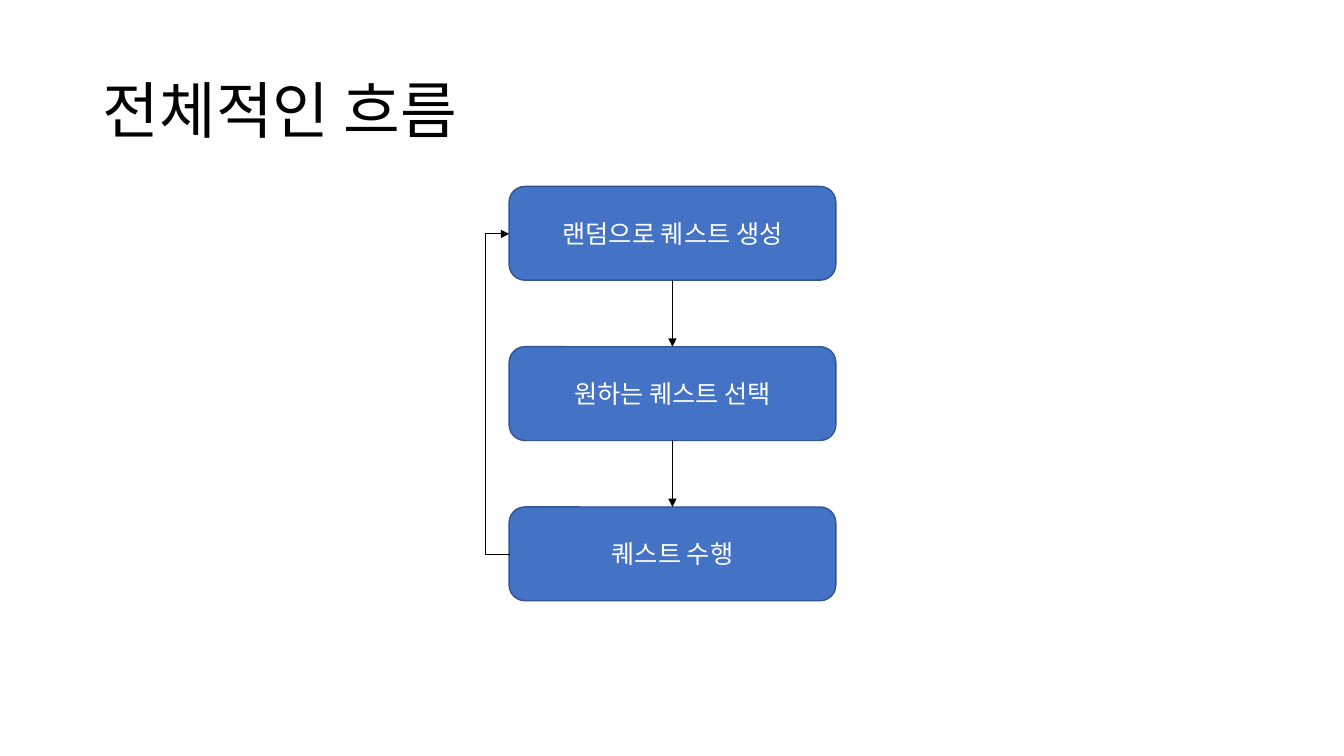
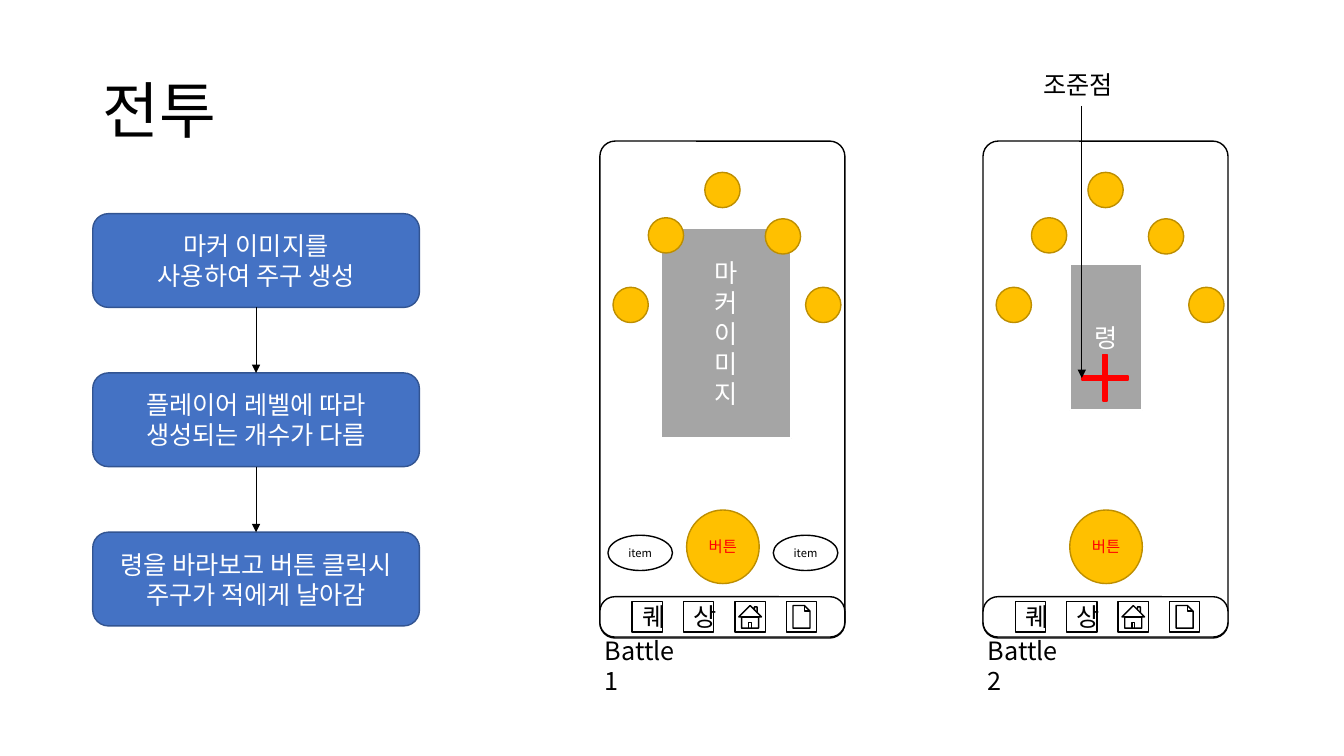
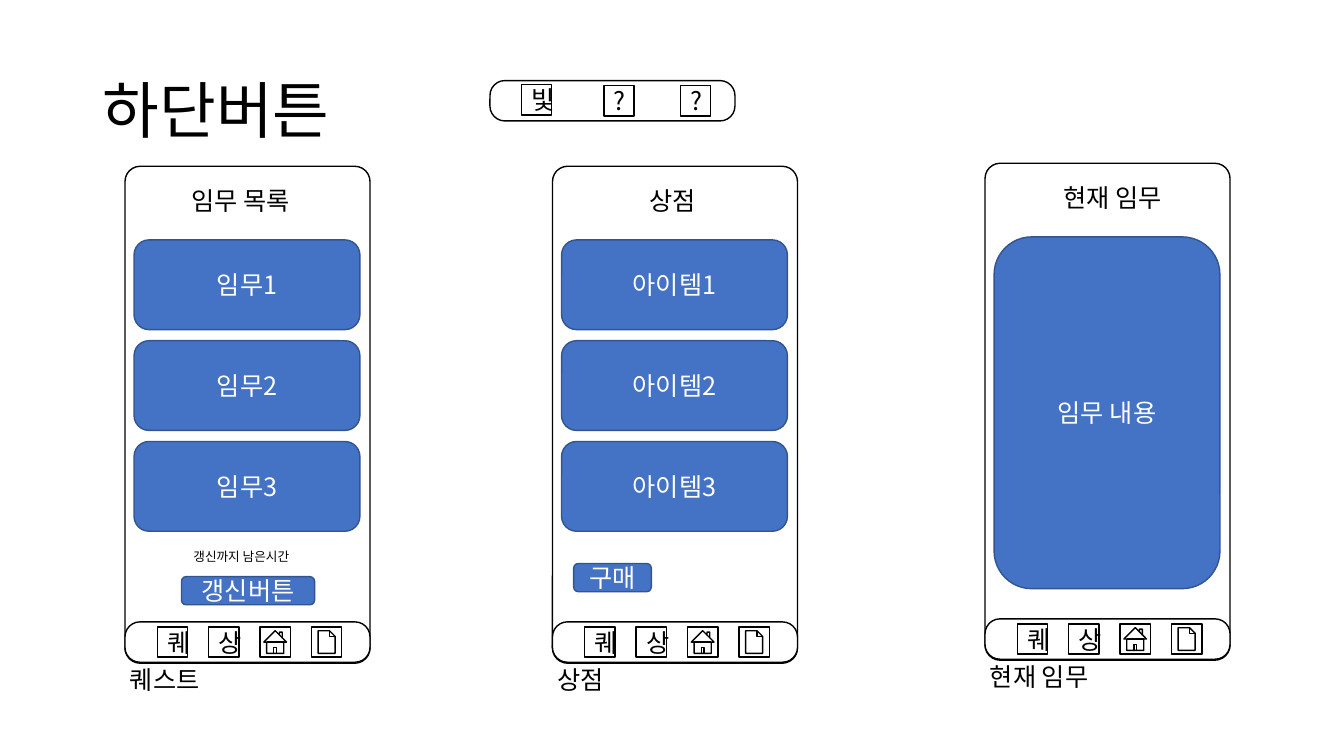
from lxml.etree import SubElement
from pptx import Presentation
from pptx.dml.color import RGBColor
from pptx.enum.shapes import MSO_CONNECTOR as CONNECTOR, MSO_SHAPE as SHAPE
from pptx.enum.text import MSO_ANCHOR as ANCHOR, MSO_AUTO_SIZE as AUTO_SIZE, PP_ALIGN as ALIGN
from pptx.oxml.ns import qn
from pptx.util import Emu, Pt

EMU_PER_PX = 9144  # 100 px to the inch
FONT = "Noto Sans CJK KR"
COLORS = {
    "black": "000000", "white": "FFFFFF", "blue": "4472C4", "navy": "325491",
    "gold": "FFC000", "bronze": "BD8E00", "gray": "A5A5A5", "red": "FF0000",
}
# fill, line, line width, text colour
STYLES = {
    "card": ("blue", "navy", 1, "white"),
    "plain": ("white", "black", 1, "black"),
    "icon": (None, "black", 1, "black"),
    "orb": ("gold", "bronze", 1, "red"),
    "marker": ("gray", "white", 1.5, "white"),
    "aim": ("red", "red", 1, "white"),
}
PHONE_WIDTH, PHONE_HEIGHT = 243, 493
BAR_HEIGHT, BAR_OFFSET = 40, 452
ICON, ICON_STEP = 30, 51
ORB = 35
ORB_OFFSETS = [(13, 145), (48, 76), (104, 31), (164, 77), (204, 145)]


def px(*lengths):
    return [Emu(length * EMU_PER_PX) for length in lengths]


def rgb(name):
    return RGBColor.from_string(COLORS[name])


# Shared building parts
def write_text(frame, text, size, color, align):
    frame.text = text
    for paragraph in frame.paragraphs:
        paragraph.alignment = align
        for run in paragraph.runs:
            for name, value in {"name": FONT, "size": Pt(size)}.items():
                setattr(run.font, name, value)
            run.font.color.rgb = rgb(color)
            SubElement(run._r.get_or_add_rPr(), qn("a:ea"), typeface=FONT)


def add_block(canvas, kind, box, style, text="", size=18, corner=None):
    fill, line, width, color = STYLES[style]
    shape = canvas.add_shape(kind, *px(*box))
    shape.shadow.inherit = False
    if fill:
        shape.fill.solid()
        shape.fill.fore_color.rgb = rgb(fill)
    else:
        shape.fill.background()
    shape.line.color.rgb = rgb(line)
    shape.line.width = Pt(width)
    if corner is not None:
        shape.adjustments[0] = corner
    if text:
        write_text(shape.text_frame, text, size, color, ALIGN.CENTER)


def add_label(canvas, box, text, size=18):
    frame = canvas.add_textbox(*px(*box)).text_frame
    frame.word_wrap = True
    write_text(frame, text, size, "black", ALIGN.LEFT)


def add_arrow(canvas, start, end, bend=None):
    kind = CONNECTOR.STRAIGHT if bend is None else CONNECTOR.ELBOW
    arrow = canvas.add_connector(kind, *px(*start, *end))
    arrow.line.color.rgb = rgb("black")
    arrow.line.width = Pt(0.5)
    properties = arrow._element.spPr
    SubElement(properties.find(qn("a:ln")), qn("a:tailEnd"), type="triangle")
    SubElement(properties, qn("a:effectLst"))
    if bend is not None:
        guides = properties.find(qn("a:prstGeom")).get_or_add_avLst()
        SubElement(guides, qn("a:gd"), name="adj1", fmla=f"val {bend * 100000}")


def add_titled_slide(presentation, text):
    slide = presentation.slides.add_slide(presentation.slide_layouts[5])
    title = slide.shapes.title
    title.left, title.top, title.width, title.height = px(92, 40, 1150, 145)
    frame = title.text_frame
    write_text(frame, text, 44, "black", ALIGN.LEFT)
    formats = {"vertical_anchor": ANCHOR.MIDDLE, "word_wrap": True, "auto_size": AUTO_SIZE.NONE}
    for name, value in formats.items():
        setattr(frame, name, value)
    frame.paragraphs[0].line_spacing = 0.9
    return slide


# Regions
def add_flow(slide, left, top, step, texts, loops=False):
    canvas = slide.shapes.add_group_shape().shapes
    width, height = 324, 93
    center = left + width // 2
    tops = [top + index * step for index in range(len(texts))]
    for box_top, text in zip(tops, texts):
        add_block(canvas, SHAPE.ROUNDED_RECTANGLE, (left, box_top, width, height), "card", text)
    for upper, lower in zip(tops, tops[1:]):
        add_arrow(canvas, (center, upper + height), (center, lower))
    if loops:
        middle = height // 2 + 1
        add_arrow(canvas, (left + 1, tops[-1] + middle), (left, tops[0] + middle), bend=25)


def add_bar(canvas, left, top):
    box = (left, top, PHONE_WIDTH, BAR_HEIGHT)
    add_block(canvas, SHAPE.ROUNDED_RECTANGLE, box, "plain", corner=0.37)


def add_menu(canvas, left, top):
    add_bar(canvas, left, top)
    icons = [
        (SHAPE.RECTANGLE, "plain", "퀘"), (SHAPE.RECTANGLE, "plain", "상"),
        (SHAPE.ACTION_BUTTON_HOME, "icon", ""), (SHAPE.ACTION_BUTTON_DOCUMENT, "icon", ""),
    ]
    for index, (kind, style, text) in enumerate(icons):
        box = (left + 32 + index * ICON_STEP, top + 5, ICON, ICON)
        add_block(canvas, kind, box, style, text)


def add_phone(slide, left, top, caption, caption_width, caption_offset=489):
    canvas = slide.shapes.add_group_shape().shapes
    box = (left, top, PHONE_WIDTH, PHONE_HEIGHT)
    add_block(canvas, SHAPE.ROUNDED_RECTANGLE, box, "plain", corner=0.062)
    add_label(canvas, (left - 5, top + caption_offset, caption_width, 40), caption)
    add_menu(canvas, left, top + BAR_OFFSET)
    return canvas


def add_battle(slide, left, top, caption, marker, marker_text):
    canvas = add_phone(slide, left, top, caption, 99, 485)
    add_block(canvas, SHAPE.OVAL, (left + 86, top + 366, 72, 73), "orb", "버튼", 11)
    x, y, width, height = marker
    add_block(canvas, SHAPE.RECTANGLE, (left + x, top + y, width, height), "marker", marker_text)
    for x, y in ORB_OFFSETS:
        add_block(canvas, SHAPE.OVAL, (left + x, top + y, ORB, ORB), "orb")
    return canvas


def add_aim(canvas, left, top):
    add_block(canvas, SHAPE.CROSS, (left + 98, top + 212, 46, 46), "aim", corner=0.457)
    add_arrow(canvas, (left + 98, top - 35), (left + 98, top + 235))
    add_label(canvas, (left + 50, top - 76, 96, 40), "조준점")


def add_list_phone(slide, left, top, caption, caption_width, header, cards, card_height=89):
    canvas = add_phone(slide, left, top, caption, caption_width)
    text, x, width = header
    add_label(canvas, (left + x, top + 14, width, 40), text)
    for index, card in enumerate(cards):
        box = (left + 9, top + 73 + index * 100, 224, card_height)
        add_block(canvas, SHAPE.ROUNDED_RECTANGLE, box, "card", card)
    return canvas


def add_top_bar(slide, left, top):
    add_bar(slide.shapes, left, top)
    for x, y, text in [(31, 4, "빛"), (113, 5, "?"), (189, 5, "?")]:
        add_block(slide.shapes, SHAPE.RECTANGLE, (left + x, top + y, ICON, ICON), "plain", text)


# Slides
def build_overview(presentation):
    slide = add_titled_slide(presentation, "전체적인 흐름")
    steps = ["랜덤으로 퀘스트 생성", "원하는 퀘스트 선택", "퀘스트 수행"]
    add_flow(slide, 505, 185, 159, steps, loops=True)


def build_battle(presentation):
    slide = add_titled_slide(presentation, "전투")
    add_flow(slide, 92, 212, 158, [
        "마커 이미지를\n사용하여 주구 생성",
        "플레이어 레벨에 따라\n생성되는 개수가 다름",
        "령을 바라보고 버튼 클릭시 주구가 적에게 날아감",
    ])
    left, top = 595, 140
    add_battle(slide, left, top, "Battle1", (61, 86, 129, 209), "\n".join("마커이미지"))
    for x in (8, 172):
        add_block(slide.shapes, SHAPE.OVAL, (left + x, top + 391, 64, 35), "plain", "item", 8)
    left = 975
    canvas = add_battle(slide, left, top, "Battle2", (86, 122, 72, 145), "령")
    add_aim(canvas, left, top)


def build_menu_screens(presentation):
    slide = add_titled_slide(presentation, "하단버튼")
    # Quest list
    left, top = 124, 165
    missions = [f"임무{number}" for number in range(1, 4)]
    canvas = add_list_phone(slide, left, top, "퀘스트", 96, ("임무 목록", 56, 130), missions)
    refresh = (left + 56, top + 407, 132, 28)
    add_block(canvas, SHAPE.ROUNDED_RECTANGLE, refresh, "card", "갱신버튼")
    add_label(canvas, (left + 58, top + 375, 126, 25), "갱신까지 남은시간", 9)
    # Shop
    left = 548
    items = [f"아이템{number}" for number in range(1, 4)]
    canvas = add_list_phone(slide, left, top, "상점", 71, ("상점", 86, 71), items)
    add_block(canvas, SHAPE.ROUNDED_RECTANGLE, (left + 21, top + 394, 77, 28), "card", "구매")
    # Current mission
    add_list_phone(slide, 977, 162, "현재 임무", 130, ("현재 임무", 68, 130), ["임무 내용"], 349)
    add_top_bar(slide, 486, 80)


def main():
    presentation = Presentation()
    presentation.slide_width, presentation.slide_height = px(1333, 750)
    for build in (build_overview, build_battle, build_menu_screens):
        build(presentation)
    presentation.save("out.pptx")


if __name__ == "__main__":
    main()
